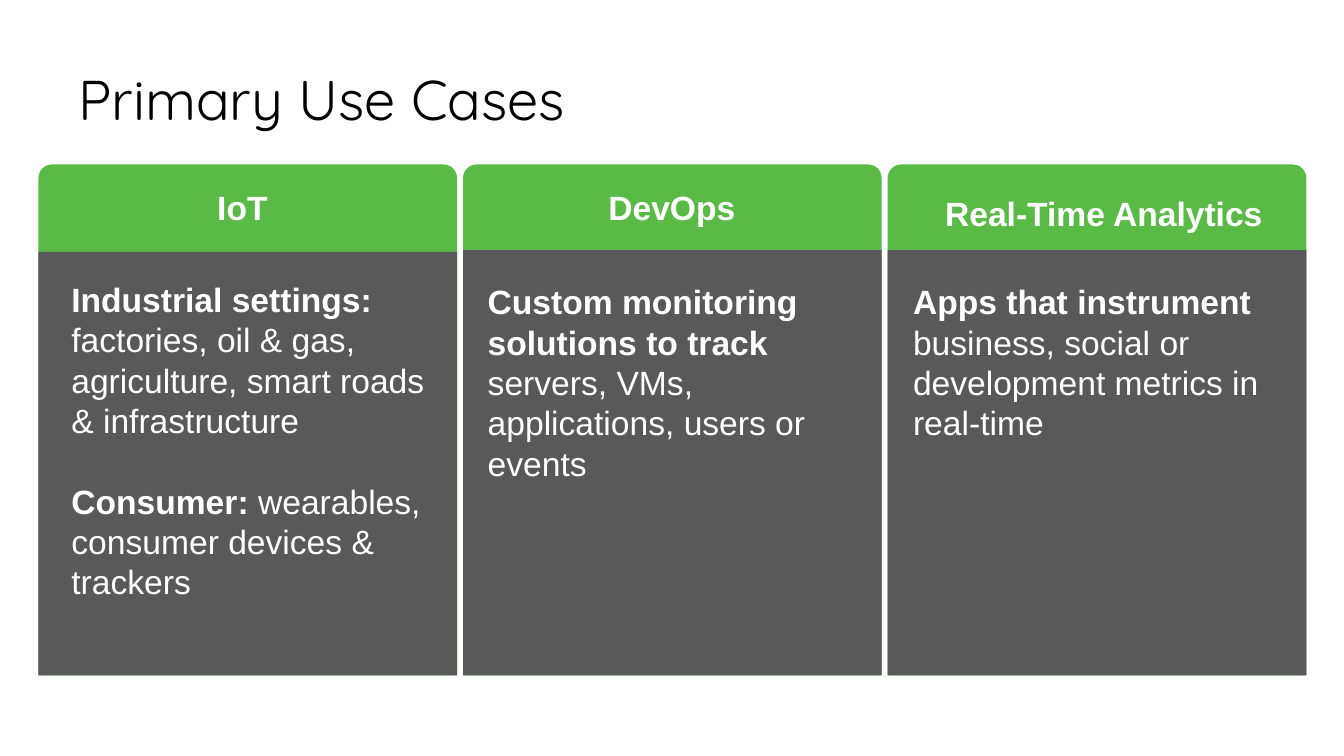
"""Build the Primary Use Cases slide with three topic cards."""
from dataclasses import dataclass
from typing import Any

from pptx import Presentation
from pptx.dml.color import RGBColor
from pptx.enum.shapes import MSO_SHAPE as Preset
from pptx.enum.text import MSO_ANCHOR as Anchor, PP_ALIGN as Align
from pptx.util import Pt

GREEN, GRAY, WHITE, BLACK = "59BB46", "595959", "FFFFFF", "000000"
CARD_LEFT, CARD_TOP, CARD_BOTTOM = 27.5, 117.5, 482.4
CARD_WIDTH, CARD_STEP = 299, 303.3
PARAGRAPH_GAP = 28.8
BODY_FORMAT = {"name": "Arial", "size": Pt(24)}
TITLE_FORMAT = {"name": "Quicksand", "size": Pt(40)}


@dataclass
class Frame:
    left: float
    top: float
    width: float
    height: float

    def lengths(self) -> list[Pt]:
        return [Pt(value) for value in (self.left, self.top, self.width, self.height)]


@dataclass
class Span:
    text: str
    bold: bool = False


@dataclass
class Card:
    heading: str
    heading_frame: Frame
    panel_top: float
    body_frame: Frame
    body: list[list[Span]]


CARDS = [
    Card("IoT", Frame(147.6, 130.3, 51.1, 36), 180, Frame(43.9, 195.8, 267.8, 289.4), [
        [Span("Industrial settings:", True),
         Span(" factories, oil & gas, agriculture, smart roads & infrastructure")],
        [Span("Consumer:", True), Span(" wearables, consumer devices & trackers")],
    ]),
    Card("DevOps", Frame(427, 130.3, 105.8, 36), 178.6, Frame(341.3, 197.3, 270, 267.8), [
        [Span("Custom monitoring solutions to track ", True),
         Span("servers, VMs, applications, users or events")],
    ]),
    Card("Real-Time Analytics", Frame(645.1, 133.9, 286.6, 28.8), 178.6,
         Frame(645.1, 197.3, 270, 267.8), [
        [Span("Apps that instrument ", True),
         Span("business, social or development metrics in real-time")],
    ]),
]


def color(value: str) -> RGBColor:
    return RGBColor.from_string(value)


def add_panel(page: Any, frame: Frame, fill: str, rounding: float) -> None:
    panel = page.shapes.add_shape(Preset.ROUND_2_SAME_RECTANGLE, *frame.lengths())
    panel.adjustments[0] = rounding
    panel.adjustments[1] = 0
    panel.shadow.inherit = False
    panel.fill.solid()
    panel.fill.fore_color.rgb = color(fill)
    panel.line.fill.background()


def add_text(page: Any, frame: Frame, paragraphs: list[list[Span]], font: dict[str, Any],
             ink: str, layout: dict[str, Any], paragraph_format: dict[str, Any]) -> None:
    text_frame = page.shapes.add_textbox(*frame.lengths()).text_frame
    for name, value in layout.items():
        setattr(text_frame, name, value)
    for index, spans in enumerate(paragraphs):
        para = text_frame.add_paragraph() if index else text_frame.paragraphs[0]
        for name, value in paragraph_format.items():
            setattr(para, name, value)
        if index:
            para.space_before = Pt(PARAGRAPH_GAP)
        for span in spans:
            run = para.add_run()
            run.text = span.text
            for name, value in {**font, "bold": span.bold}.items():
                setattr(run.font, name, value)
            run.font.color.rgb = color(ink)


def add_card(page: Any, card: Card, left: float) -> None:
    for top, fill, rounding in ((CARD_TOP, GREEN, 0.032), (card.panel_top, GRAY, 0)):
        add_panel(page, Frame(left, top, CARD_WIDTH, CARD_BOTTOM - top), fill, rounding)
    add_text(page, card.body_frame, card.body, BODY_FORMAT, WHITE,
             {"word_wrap": True}, {"alignment": Align.LEFT})
    add_text(page, card.heading_frame, [[Span(card.heading, True)]], BODY_FORMAT, WHITE,
             {"word_wrap": False}, {"alignment": Align.CENTER})


def main() -> None:
    deck = Presentation()
    deck.slide_width, deck.slide_height = Pt(960), Pt(540)
    page = deck.slides.add_slide(deck.slide_layouts[6])
    add_text(page, Frame(49, 21.6, 861.8, 103.7), [[Span("Primary Use Cases")]],
             TITLE_FORMAT, BLACK, {"word_wrap": True, "vertical_anchor": Anchor.MIDDLE},
             {"line_spacing": 0.9})
    for index, card in enumerate(CARDS):
        add_card(page, card, CARD_LEFT + index * CARD_STEP)
    deck.save("out.pptx")


if __name__ == "__main__":
    main()
